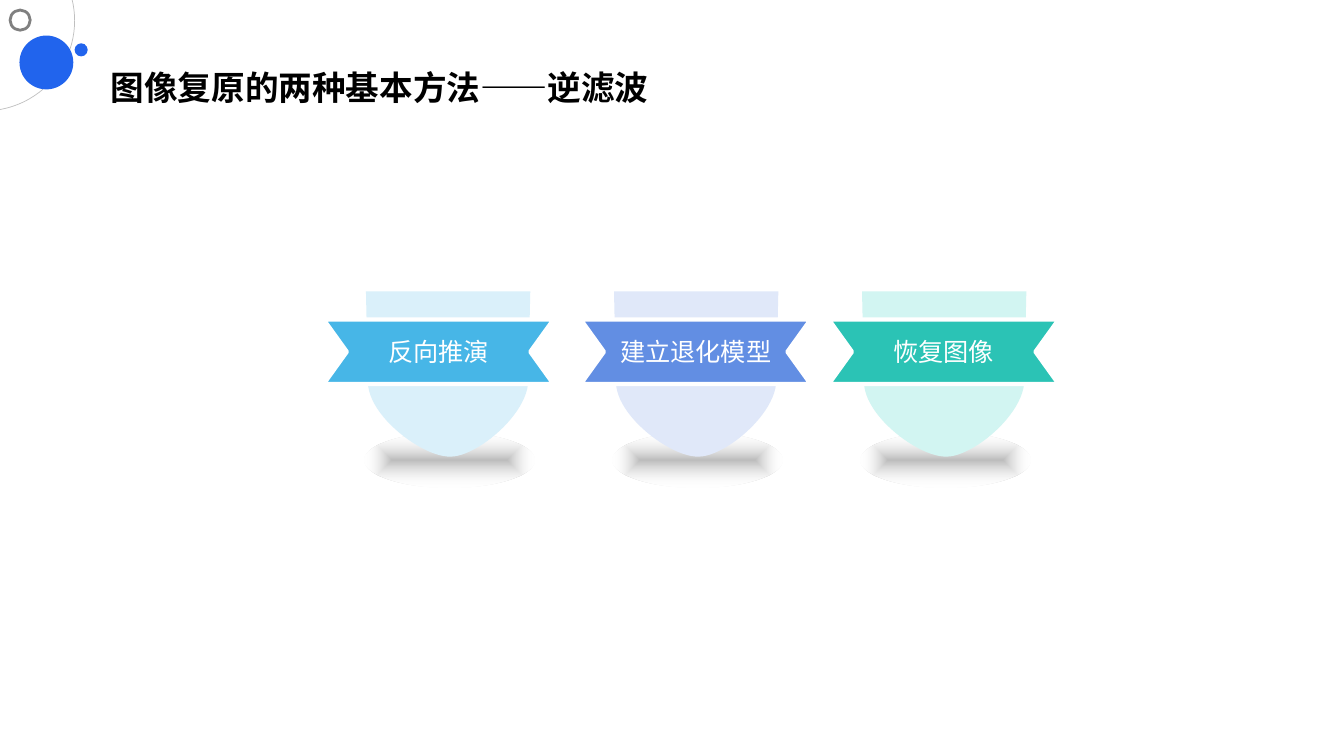
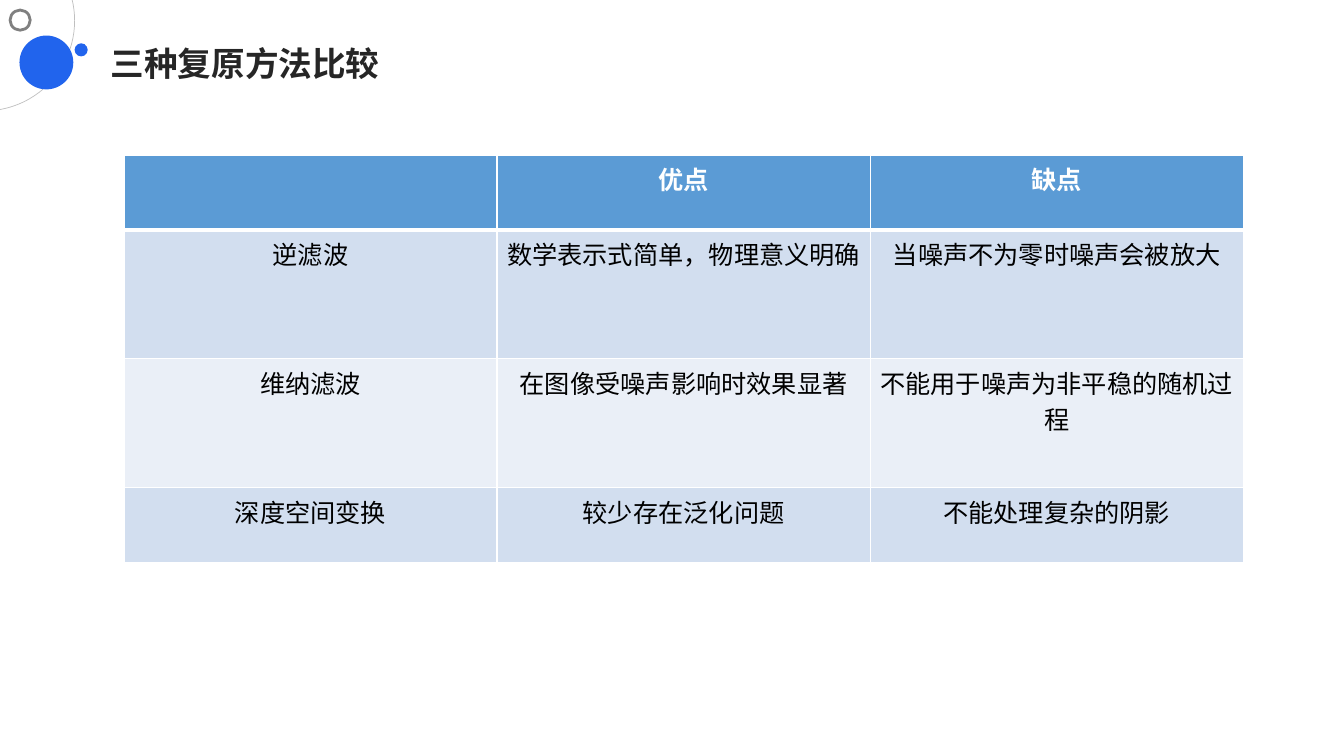
from dataclasses import dataclass

from lxml.etree import SubElement
from pptx import Presentation
from pptx.dml.color import RGBColor
from pptx.enum.shapes import MSO_SHAPE as Preset
from pptx.enum.text import MSO_ANCHOR as Anchor, PP_ALIGN as Align
from pptx.oxml import parse_xml
from pptx.oxml.ns import nsdecls, qn
from pptx.util import Inches, Pt

# Shared look
BLACK = RGBColor(0x00, 0x00, 0x00)
WHITE = RGBColor(0xFF, 0xFF, 0xFF)
INK = RGBColor(0x26, 0x26, 0x26)
ACCENT = RGBColor(0x21, 0x64, 0xED)
RING_GREY = RGBColor(0x80, 0x80, 0x80)
ARC_GREY = RGBColor(0xBF, 0xBF, 0xBF)
HEADER_BLUE = RGBColor(0x5B, 0x9B, 0xD5)
BANDS = (RGBColor(0xD2, 0xDE, 0xEF), RGBColor(0xEA, 0xEF, 0xF7))
CJK_FONT = "Noto Sans CJK SC"

TITLE_FORMAT = {"size": Pt(24), "bold": True}
LABEL_FORMAT = {"size": Pt(18), "bold": False, "name": "Arial"}
HEADER_FORMAT = LABEL_FORMAT | {"bold": True}


@dataclass(frozen=True)
class Ornament:
    left: float
    top: float
    size: float
    preset: Preset = Preset.OVAL
    fill: RGBColor | None = None
    line: RGBColor | None = None
    weight: float = 0
    angles: tuple[float, ...] = ()


@dataclass(frozen=True)
class Badge:
    label: str
    ribbon_left: float
    ribbon_color: RGBColor
    shield_color: RGBColor


ORNAMENTS = (
    Ornament(-1.05, -0.69, 1.79, Preset.ARC, line=ARC_GREY, weight=0.5, angles=(207.72, 48.6)),
    Ornament(0.2, 0.36, 0.52, fill=ACCENT, line=ACCENT, weight=1),
    Ornament(0.74, 0.43, 0.13, fill=ACCENT),
    Ornament(0.1, 0.1, 0.2, line=RING_GREY, weight=2),
)

# Slide 1: badges
BADGES = (
    Badge("反向推演", 3.21, RGBColor(0x47, 0xB6, 0xE7), RGBColor(0xDA, 0xF0, 0xFA)),
    Badge("建立退化模型", 5.76, RGBColor(0x62, 0x8E, 0xE3), RGBColor(0xE0, 0xE8, 0xF9)),
    Badge("恢复图像", 8.22, RGBColor(0x2B, 0xC3, 0xB5), RGBColor(0xD2, 0xF5, 0xF2)),
)
SHIELD_LEFT, SHIELD_TOP, SHIELD_PITCH = 3.63, 2.89, 2.46
SHIELD_CURVES = (
    ((1.61, 0.88), (1.61, 1.22), (1.1, 1.64), (0.84, 1.64)),
    ((0.84, 1.64), (0.57, 1.65), (0.02, 1.24), (0.02, 0.9)),
)
RIBBON_TOP = 3.17
RIBBON_OUTLINE = [(0, 0), (2.28, 0), (2.05, 0.32), (2.28, 0.64), (0, 0.64), (0.23, 0.32)]
GLOW_XML = f"""<a:gradFill {nsdecls('a')} rotWithShape="1"><a:gsLst>
<a:gs pos="0"><a:srgbClr val="BCBCBC"/></a:gs>
<a:gs pos="100000"><a:srgbClr val="FFFFFF"><a:alpha val="0"/></a:srgbClr></a:gs></a:gsLst>
<a:path path="shape"><a:fillToRect l="50000" t="50000" r="50000" b="50000"/></a:path>
</a:gradFill>"""

# Slide 2: comparison
COMPARISON = (
    ("", "优点", "缺点"),
    ("逆滤波", "数学表示式简单，物理意义明确", "当噪声不为零时噪声会被放大"),
    ("维纳滤波", "在图像受噪声影响时效果显著", "不能用于噪声为非平稳的随机过程"),
    ("深度空间变换", "较少存在泛化问题", "不能处理复杂的阴影"),
)
ROW_HEIGHTS = (0.74, 1.28, 1.28, 0.74)
COLUMN_WIDTH = 3.7


def write(frame, text: str, formats: dict, color: RGBColor,
          align: Align = Align.CENTER, spacing: float = 1.0) -> None:
    paragraph = frame.paragraphs[0]
    paragraph.alignment = align
    paragraph.line_spacing = spacing
    run = paragraph.add_run()
    run.text = text
    for attribute, value in formats.items():
        setattr(run.font, attribute, value)
    run.font.color.rgb = color
    SubElement(run._r.get_or_add_rPr(), qn("a:ea")).set("typeface", CJK_FONT)


def paint(shape, fill: RGBColor | None = None, line: RGBColor | None = None,
          weight: float = 0) -> None:
    shape.shadow.inherit = False
    if fill is None:
        shape.fill.background()
    else:
        shape.fill.solid()
        shape.fill.fore_color.rgb = fill
    if line is None:
        shape.line.fill.background()
    else:
        shape.line.color.rgb = line
        shape.line.width = Pt(weight)


def add_titled_slide(prs, title: str, top: float, font: str, color: RGBColor):
    slide = prs.slides.add_slide(prs.slide_layouts[6])
    for item in ORNAMENTS:
        ornament = slide.shapes.add_shape(
            item.preset, Inches(item.left), Inches(item.top), Inches(item.size), Inches(item.size))
        for index, angle in enumerate(item.angles):
            ornament.adjustments[index] = angle
        paint(ornament, item.fill, item.line, item.weight)
    heading = slide.shapes.add_textbox(Inches(1), Inches(top), Inches(8.23), Inches(0.48))
    frame = heading.text_frame
    frame.word_wrap = True
    frame.vertical_anchor = Anchor.MIDDLE
    write(frame, title, TITLE_FORMAT | {"name": font}, color, Align.LEFT, 0.9)
    return slide


def curve_points(curve: tuple, steps: int = 24) -> list[tuple[float, float]]:
    """Points along a cubic Bezier curve."""
    points = []
    for step in range(steps + 1):
        t = step / steps
        weights = ((1 - t) ** 3, 3 * t * (1 - t) ** 2, 3 * t ** 2 * (1 - t), t ** 3)
        points.append(tuple(sum(w * p[axis] for w, p in zip(weights, curve)) for axis in (0, 1)))
    return points


def add_outline(slide, left: float, top: float, points: list):
    start, *rest = [(Inches(left + x), Inches(top + y)) for x, y in points]
    builder = slide.shapes.build_freeform(*start)
    builder.add_line_segments(rest, close=True)
    return builder.convert_to_shape()


def add_badge(slide, badge: Badge, left: float) -> None:
    # Soft glow under the shield
    glow = slide.shapes.add_shape(
        Preset.OVAL, Inches(left - 0.01), Inches(4.29), Inches(1.68), Inches(0.55))
    paint(glow)
    no_fill = glow._element.spPr.find(qn("a:noFill"))
    no_fill.getparent().replace(no_fill, parse_xml(GLOW_XML))
    # Shield
    tip = [point for curve in SHIELD_CURVES for point in curve_points(curve)]
    shield = add_outline(slide, left, SHIELD_TOP, [(0, 0), (1.63, 0), *tip])
    paint(shield, badge.shield_color)
    # Ribbon with label
    ribbon = add_outline(slide, badge.ribbon_left, RIBBON_TOP, RIBBON_OUTLINE)
    paint(ribbon, badge.ribbon_color, WHITE, 3)
    ribbon.text_frame.word_wrap = True
    ribbon.text_frame.vertical_anchor = Anchor.MIDDLE
    write(ribbon.text_frame, badge.label, LABEL_FORMAT, WHITE)


def set_borders(cell, **widths: float) -> None:
    properties = cell._tc.get_or_add_tcPr()
    for index, side in enumerate("LRTB"):
        width = Pt(widths.get(side, 1))
        properties.insert(index, parse_xml(
            f'<a:ln{side} {nsdecls("a")} w="{width}"><a:solidFill>'
            f'<a:srgbClr val="{WHITE}"/></a:solidFill></a:ln{side}>'))


def add_comparison(slide) -> None:
    columns = len(COMPARISON[0])
    table = slide.shapes.add_table(
        len(COMPARISON), columns, Inches(1.23), Inches(1.54),
        Inches(COLUMN_WIDTH * columns), Inches(sum(ROW_HEIGHTS))).table
    for column in table.columns:
        column.width = Inches(COLUMN_WIDTH)
    for r, (texts, height) in enumerate(zip(COMPARISON, ROW_HEIGHTS)):
        table.rows[r].height = Inches(height)
        header = r == 0
        for c, text in enumerate(texts):
            cell = table.cell(r, c)
            cell.fill.solid()
            cell.fill.fore_color.rgb = HEADER_BLUE if header else BANDS[(r - 1) % 2]
            set_borders(cell, T=3 if r == 1 else 1, B=3 if header else 1)
            if text:
                write(cell.text_frame, text, HEADER_FORMAT if header else LABEL_FORMAT,
                      WHITE if header else BLACK)


def main() -> None:
    prs = Presentation()
    prs.slide_width, prs.slide_height = Inches(13.33), Inches(7.5)

    inverse = add_titled_slide(prs, "图像复原的两种基本方法——逆滤波", 0.65, CJK_FONT, BLACK)
    for index, badge in enumerate(BADGES):
        add_badge(inverse, badge, SHIELD_LEFT + index * SHIELD_PITCH)

    methods = add_titled_slide(prs, "三种复原方法比较", 0.41, "Montserrat", INK)
    add_comparison(methods)

    prs.save("out.pptx")


if __name__ == "__main__":
    main()
